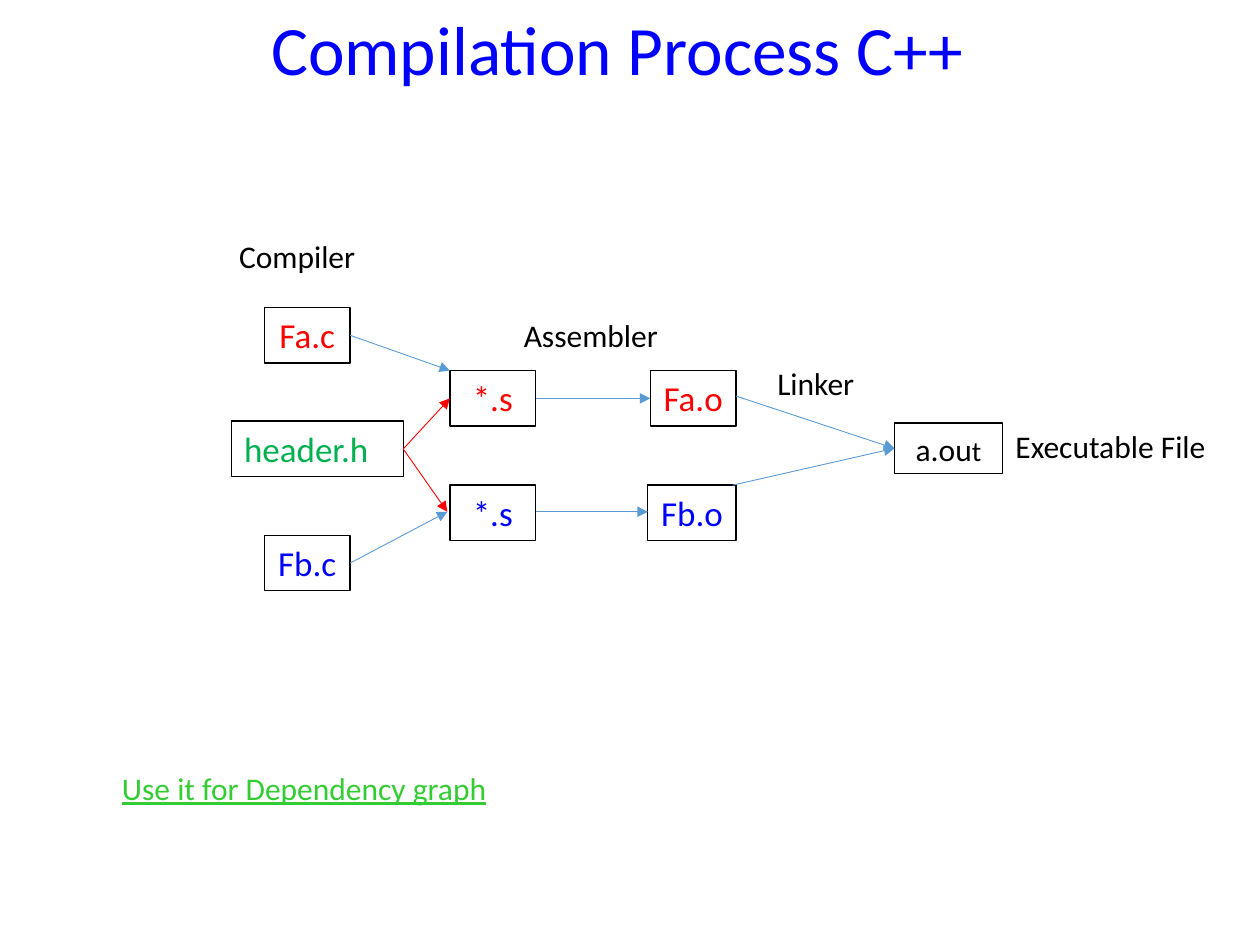
from lxml import etree
from pptx import Presentation
from pptx import util as u
from pptx.dml.color import RGBColor
from pptx.enum import shapes, text
from pptx.oxml.ns import qn

RED, GREEN, BLUE, BLACK = "FF0000", "00B050", "0000FF", "000000"
LIME, STEEL = "33CC33", "5B9BD5"
CENTER, LEFT = text.PP_ALIGN.CENTER, text.PP_ALIGN.LEFT

TITLE = "Compilation Process C++"
FILES = {
    "source_a": ([("Fa.c", 20)], RED, CENTER, (5.33, 6.2, 1.73, 1.12)),
    "header": ([("header.h", 20)], GREEN, LEFT, (4.67, 8.49, 3.46, 1.12)),
    "source_b": ([("Fb.c", 20)], BLUE, CENTER, (5.33, 10.79, 1.73, 1.12)),
    "assembly_a": ([("*.s", 20)], RED, CENTER, (9.07, 7.47, 1.73, 1.12)),
    "assembly_b": ([("*.s", 20)], BLUE, CENTER, (9.07, 9.78, 1.73, 1.12)),
    "object_a": ([("Fa.o", 20)], RED, CENTER, (13.11, 7.47, 1.73, 1.12)),
    "object_b": ([("Fb.o", 20)], BLUE, CENTER, (13.06, 9.78, 1.78, 1.12)),
    "program": ([("a.ou", 18), ("t", 16)], BLACK, CENTER, (18.03, 8.53, 2.18, 1.02)),
}
ARROWS = [
    ("source_a", (1, 0.5), "assembly_a", (0, 0), STEEL),
    ("assembly_a", (1, 0.5), "object_a", (0, 0.5), STEEL),
    ("object_a", (1, 0.46), "program", (0, 0.5), STEEL),
    ("source_b", (1, 0.5), "assembly_b", (-0.03, 0.48), STEEL),
    ("assembly_b", (1, 0.48), "object_b", (0, 0.48), STEEL),
    ("object_b", (0.96, 0), "program", (0, 0.5), STEEL),
    ("header", (1, 0.5), "assembly_a", (0, 0.5), RED),
    ("header", (1, 0.5), "assembly_b", (-0.03, 0.48), RED),
]
LABELS = [
    ("Compiler", BLACK, False, (4.57, 4.65, 3.23, 1.02)),
    ("Assembler", BLACK, False, (10.31, 6.25, 3.23, 1.02)),
    ("Linker", BLACK, False, (15.42, 7.21, 3.23, 1.02)),
    ("Executable File", BLACK, False, (20.22, 8.48, 4.9, 1.02)),
    ("Use it for Dependency graph", LIME, True, (2.21, 15.37, 8.59, 1.02)),
]


def color(value):
    return RGBColor.from_string(value)


def apply(target, **values):
    for name, value in values.items():
        setattr(target, name, value)


def lengths(frame):
    return [u.Cm(value) for value in frame]


def write(shape, pieces, ink, align, side=0.25, underline=None,
          anchor=text.MSO_ANCHOR.TOP):
    box = shape.text_frame
    apply(box, word_wrap=True, vertical_anchor=anchor,
          auto_size=text.MSO_AUTO_SIZE.NONE,
          margin_left=u.Cm(side), margin_right=u.Cm(side),
          margin_top=u.Cm(0.13), margin_bottom=u.Cm(0.13))
    para = box.paragraphs[0]
    para.alignment = align
    for words, size in pieces:
        span = para.add_run()
        span.text = words
        apply(span.font, name="Calibri", size=u.Pt(size), underline=underline)
        span.font.color.rgb = color(ink)
    return para


def point(key, share):
    left, top, width, height = FILES[key][3]
    return u.Cm(left + width * share[0]), u.Cm(top + height * share[1])


deck = Presentation()
apply(deck, slide_width=u.Cm(25.4), slide_height=u.Cm(19.05))
page = deck.slides.add_slide(deck.slide_layouts[5])

heading = page.shapes.title
apply(heading, **dict(zip(("left", "top", "width", "height"),
                          lengths((1.5, 0.53, 21.89, 1.09)))))
para = write(heading, [(TITLE, 39.6)], BLUE, CENTER,
             anchor=text.MSO_ANCHOR.MIDDLE)
para.line_spacing = 0.9

for pieces, ink, align, frame in FILES.values():
    file_box = page.shapes.add_shape(shapes.MSO_SHAPE.RECTANGLE, *lengths(frame))
    file_box.shadow.inherit = False
    file_box.fill.background()
    file_box.line.color.rgb = color(BLACK)
    file_box.line.width = u.Pt(0.75)
    write(file_box, pieces, ink, align, side=0.25 if align == LEFT else 0.1)

for start, start_share, end, end_share, ink in ARROWS:
    arrow = page.shapes.add_connector(
        shapes.MSO_CONNECTOR.STRAIGHT,
        *point(start, start_share), *point(end, end_share))
    arrow.line.color.rgb = color(ink)
    arrow.line.width = u.Pt(0.5)
    etree.SubElement(arrow.line._get_or_add_ln(), qn("a:tailEnd"), type="triangle")
    etree.SubElement(arrow._element.spPr, qn("a:effectLst"))

for words, ink, underline, frame in LABELS:
    label = page.shapes.add_textbox(*lengths(frame))
    write(label, [(words, 18)], ink, LEFT, underline=underline)

deck.save("out.pptx")
